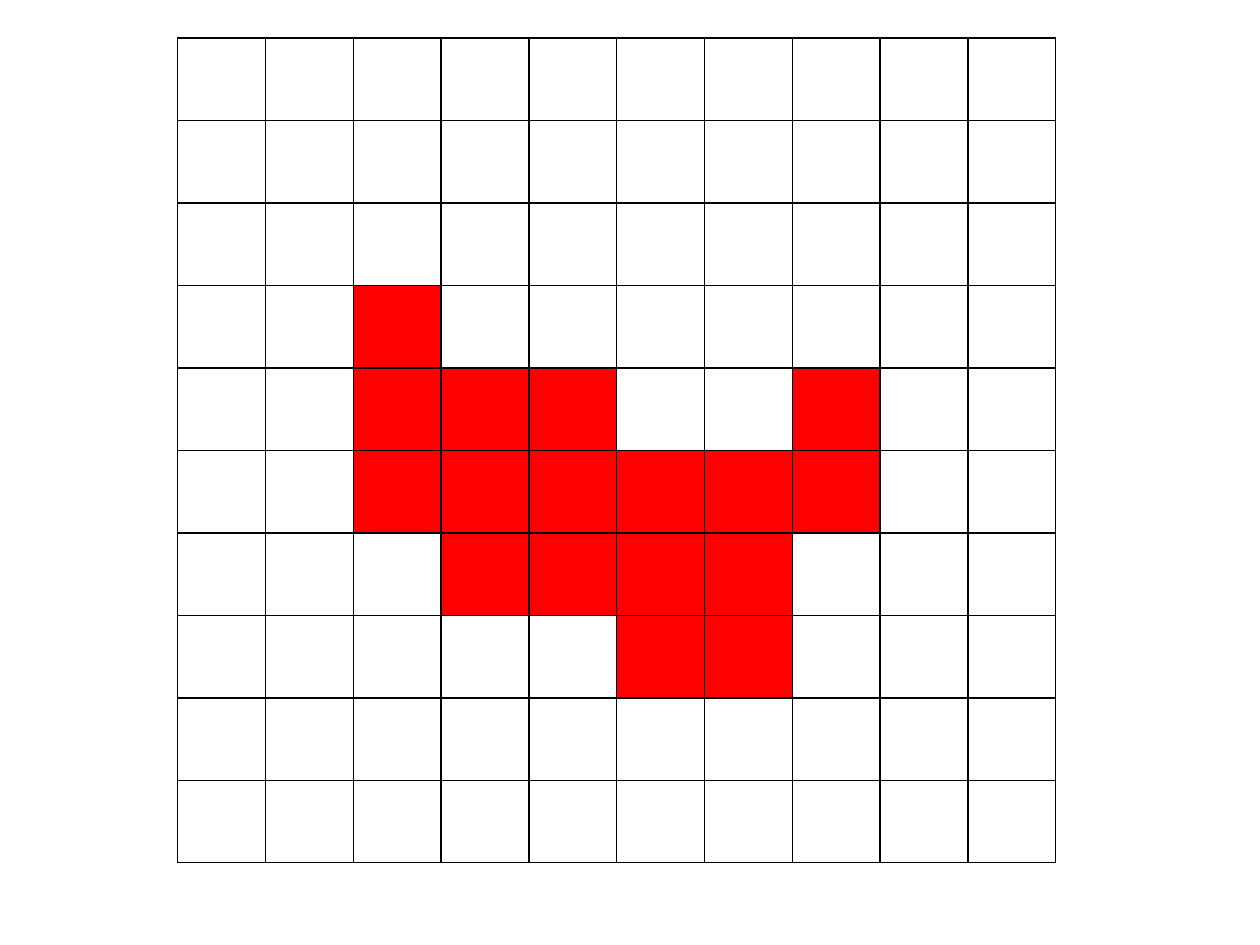
from dataclasses import dataclass

from lxml import etree
from pptx import Presentation
from pptx.dml.color import RGBColor
from pptx.oxml.ns import qn
from pptx.util import Inches, Pt

PIXELS = [
    "..........",
    "..........",
    "..........",
    "..R...WWW.",
    "..RRR.WRW.",
    "..RRRRRRW.",
    "...RRRRW..",
    ".....RRW..",
    ".....WWW..",
    "..........",
]


@dataclass(frozen=True)
class Theme:
    red: str = "FF0000"
    white: str = "FFFFFF"
    grid: str = "000000"
    grid_width: int = 1
    font: str = "Calibri"
    text_size: int = 18


THEME = Theme()
FILLS = {"R": THEME.red, "W": THEME.white}
SLIDE_W, SLIDE_H = Inches(10), Inches(7.5)
GRID_LEFT, GRID_TOP = Inches(1.41), Inches(0.3)
GRID_W, GRID_H = Inches(6.97), Inches(6.55)
BORDER_SIDES = ("a:lnL", "a:lnR", "a:lnT", "a:lnB")
BLANK_LAYOUT = 6


def add_borders(cell):
    properties = cell._tc.get_or_add_tcPr()
    for position, side in enumerate(BORDER_SIDES):
        border = etree.Element(qn(side), w=str(Pt(THEME.grid_width)))
        fill = etree.SubElement(border, qn("a:solidFill"))
        etree.SubElement(fill, qn("a:srgbClr"), val=THEME.grid)
        properties.insert(position, border)


def paint(cell, mark):
    if mark in FILLS:
        cell.fill.solid()
        cell.fill.fore_color.rgb = RGBColor.from_string(FILLS[mark])
    else:
        cell.fill.background()
    font = cell.text_frame.paragraphs[0].font
    font.name, font.size = THEME.font, Pt(THEME.text_size)
    add_borders(cell)


def main():
    deck = Presentation()
    deck.slide_width, deck.slide_height = SLIDE_W, SLIDE_H
    slide = deck.slides.add_slide(deck.slide_layouts[BLANK_LAYOUT])
    grid = slide.shapes.add_table(
        len(PIXELS), len(PIXELS[0]), GRID_LEFT, GRID_TOP, GRID_W, GRID_H
    ).table
    grid.first_row = grid.horz_banding = False
    for row, marks in enumerate(PIXELS):
        for column, mark in enumerate(marks):
            paint(grid.cell(row, column), mark)
    deck.save("out.pptx")


if __name__ == "__main__":
    main()
